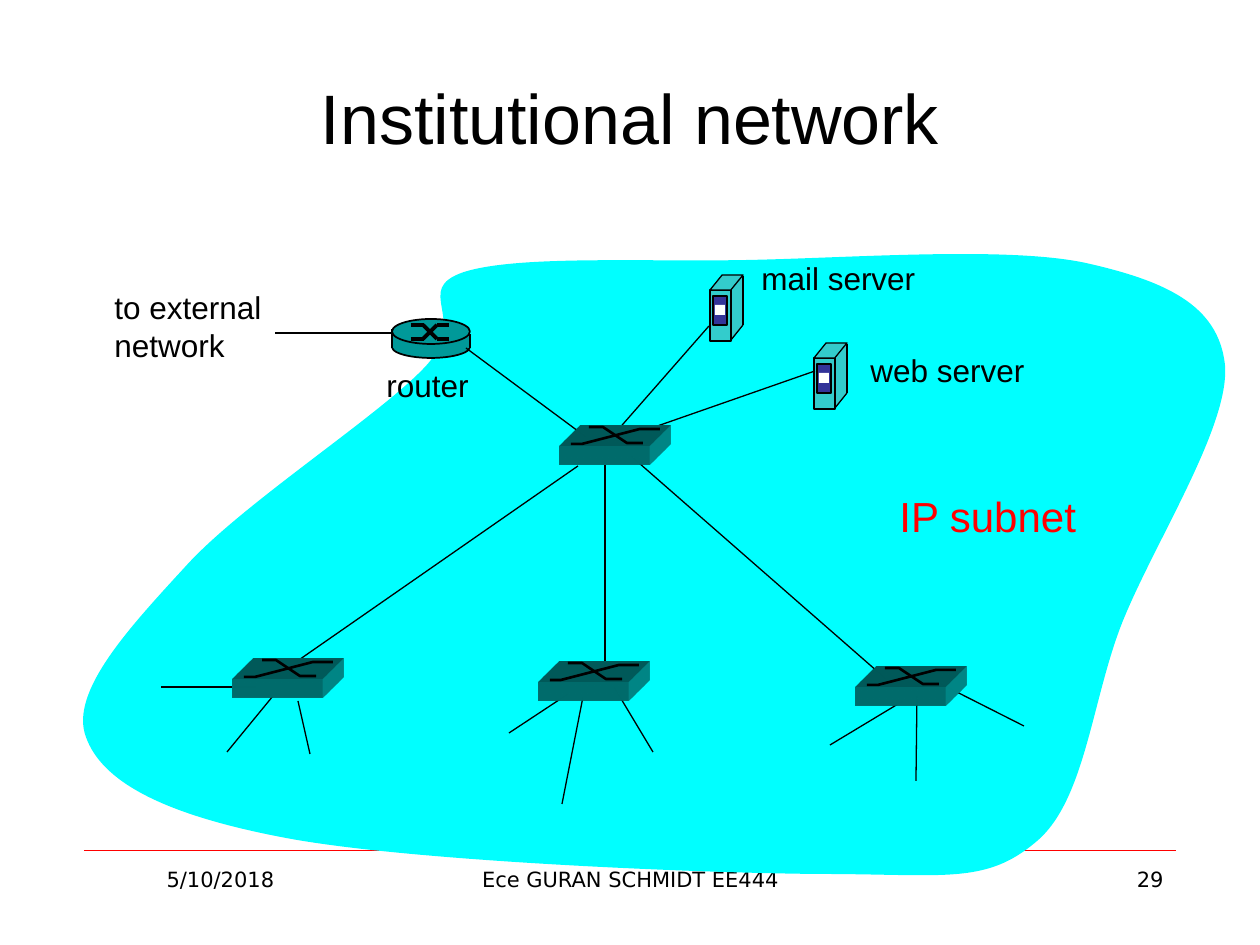
from lxml import etree
from pptx import Presentation
from pptx.dml.color import RGBColor
from pptx.enum.shapes import MSO_CONNECTOR, MSO_SHAPE
from pptx.enum.text import MSO_ANCHOR, PP_ALIGN
from pptx.oxml import parse_xml
from pptx.oxml.ns import nsdecls, qn
from pptx.util import Emu, Pt

STRAIGHT = MSO_CONNECTOR.STRAIGHT
RECTANGLE, OVAL = MSO_SHAPE.RECTANGLE, MSO_SHAPE.OVAL
PARALLELOGRAM = MSO_SHAPE.PARALLELOGRAM
LEFT, CENTER, RIGHT = PP_ALIGN.LEFT, PP_ALIGN.CENTER, PP_ALIGN.RIGHT
MIDDLE = MSO_ANCHOR.MIDDLE
EMU_PER_PX = 914400 / 126
BLACK, RED, CYAN = "000000", "FF0000", "00FFFF"
TEAL, SERVER_TEAL = "009999", "33CCCC"

TITLE = "Institutional network"
# text, box, alignment
FOOTERS = [
    ("5/10/2018", (84, 860, 273, 66), CENTER),
    ("Ece GURAN SCHMIDT EE444", (431, 860, 399, 66), CENTER),
    ("29", (903, 860, 273, 66), RIGHT),
]
# text, box, size, colour
LABELS = [
    ("to external\nnetwork", (102, 282, 174, 89), 18, BLACK),
    ("router", (374, 360, 108, 50), 18, BLACK),
    ("IP subnet", (887, 484, 204, 63), 24, RED),
    ("mail server", (749, 253, 188, 50), 18, BLACK),
    ("web server", (858, 345, 188, 50), 18, BLACK),
]

SUBNET_BOX = (70, 245, 1162, 639)
SUBNET_START = (1225, 364)
SUBNET_CURVES = [
    ((1218, 305), (1166, 281), (1086, 263)),
    ((1007, 246), (851, 258), (747, 260)),
    ((644, 262), (518, 255), (464, 272)),
    ((411, 290), (471, 318), (425, 367)),
    ((379, 416), (242, 504), (186, 566)),
    ((130, 627), (69, 692), (86, 737)),
    ((102, 782), (164, 815), (286, 838)),
    ((408, 861), (694, 873), (819, 874)),
    ((945, 874), (985, 885), (1036, 842)),
    ((1087, 800), (1092, 694), (1125, 616)),
    ((1158, 537), (1231, 423), (1225, 364)),
]

CABLES = [
    (256, 687, 161, 687), (273, 696, 227, 752), (298, 701, 310, 754),
    (568, 694, 509, 733), (583, 697, 562, 804), (614, 687, 653, 752),
    (903, 701, 830, 745), (917, 696, 916, 781), (937, 682, 1024, 726),
    (578, 466, 296, 662), (886, 679, 631, 456),
]
BACKBONE = (605, 465, 605, 668)
SERVER_CABLES = [(646, 430, 815, 371), (617, 431, 709, 326)]
ROUTER_CABLES = [(466, 348, 586, 437), (392, 333, 275, 333)]

SERVERS = [(814, 343), (710, 275)]
# shape, box, fill, outlined
SERVER_PARTS = [
    (PARALLELOGRAM, (0, 50, 33, 15), SERVER_TEAL, False),
    (RECTANGLE, (17, 0, 15, 51), SERVER_TEAL, False),
    (RECTANGLE, (0, 15, 21, 51), SERVER_TEAL, True),
    (PARALLELOGRAM, (0, 0, 33, 15), SERVER_TEAL, True),
    (RECTANGLE, (3, 21, 14, 29), "333399", True),
    (RECTANGLE, (5, 30, 10, 10), "FFFFFF", False),
]
SERVER_EDGES = [(33, 1, 33, 50), (33, 50, 21, 65)]

ROUTER = (392, 319)
ROUTER_PARTS = [
    (OVAL, (0, 17, 78, 22), TEAL, True),
    (RECTANGLE, (0, 15, 77, 14), TEAL, False),
    (OVAL, (0, 0, 78, 25), TEAL, True),
]
ROUTER_EDGES = [(0, 15, 0, 29), (78, 15, 78, 29), (0, 10, 0, 24)]
ROUTER_MARKS = [
    (19, 6, 32, 6), (45, 20, 57, 20), (31, 6, 45, 20),
    (19, 20, 32, 20), (45, 6, 57, 6), (31, 20, 45, 6),
]

# Places are the top left corners of the front faces
SWITCHES = [(560, 446), (233, 679), (539, 682), (856, 687)]
SWITCH_FRONT = (0, 0, 90, 19)
SWITCH_MARKS = [
    [(11, -2), (22, -2), (80, -17), (100, -17)],
    [(29, -19), (43, -19), (67, -3), (83, -3)],
]
EXTRUSION = [
    """<a:scene3d {}><a:camera prst="legacyObliqueTopRight"/>
    <a:lightRig rig="legacyFlat3" dir="b"/></a:scene3d>""",
    """<a:sp3d {} extrusionH="430200" prstMaterial="legacyMatte">
    <a:bevelT w="13500" h="13500" prst="angle"/><a:bevelB w="13500" h="13500" prst="angle"/>
    <a:extrusionClr><a:srgbClr val="009999"/></a:extrusionClr></a:sp3d>""",
]


def px(length):
    return Emu(round(length * EMU_PER_PX))


def color(value):
    return RGBColor.from_string(value)


def shifted(values, origin):
    """Move a box or a point by the origin of its device."""
    return [value + origin[index] if index < 2 else value for index, value in enumerate(values)]


def paint(shape, fill=None, line_width=None):
    shape.shadow.inherit = False
    if fill:
        shape.fill.solid()
        shape.fill.fore_color.rgb = color(fill)
    else:
        shape.fill.background()
    if line_width:
        shape.line.color.rgb = color(BLACK)
        shape.line.width = Pt(line_width)
    else:
        shape.line.fill.background()


def add_line(shapes, ends, width=0.75, line_color=BLACK, origin=(0, 0)):
    ends = shifted(ends[:2], origin) + shifted(ends[2:], origin)
    line = shapes.add_connector(STRAIGHT, *map(px, ends))
    line.line.color.rgb = color(line_color)
    line.line.width = Pt(width)
    etree.SubElement(line._element.spPr, qn("a:effectLst"))
    return line


def add_outline(shapes, points, closed=False):
    points = [tuple(map(px, point)) for point in points]
    builder = shapes.build_freeform(*points[0], scale=1.0)
    builder.add_line_segments(points[1:], close=closed)
    return builder.convert_to_shape()


def add_subnet(shapes):
    """Span the box with a freeform, then give it the Bezier outline."""
    left, top, width, height = SUBNET_BOX
    right, bottom = left + width, top + height
    subnet = add_outline(shapes, [(left, top), (right, top), (right, bottom), (left, bottom)], True)
    paint(subnet, CYAN)
    outline = next(subnet._element.iter(qn("a:path")))
    for command in list(outline):
        outline.remove(command)
    commands = [("a:moveTo", [SUBNET_START])]
    commands += [("a:cubicBezTo", curve) for curve in SUBNET_CURVES]
    for tag, points in commands + [("a:close", [])]:
        command = etree.SubElement(outline, qn(tag))
        for x, y in points:
            etree.SubElement(command, qn("a:pt"), x=str(px(x - left)), y=str(px(y - top)))


def add_part(shapes, kind, box, fill, line_width, origin):
    shape = shapes.add_shape(kind, *map(px, shifted(box, origin)))
    if kind == PARALLELOGRAM:
        shape.adjustments[0] = 0.81
    paint(shape, fill, line_width)
    return shape


def add_device(slide, origin, parts, edges, line_width):
    shapes = slide.shapes.add_group_shape().shapes
    for kind, box, fill, outlined in parts:
        add_part(shapes, kind, box, fill, line_width if outlined else None, origin)
    for ends in edges:
        add_line(shapes, ends, line_width, origin=origin)
    return shapes


def add_switch(slide, origin):
    shapes = slide.shapes.add_group_shape().shapes
    front = add_part(shapes, RECTANGLE, SWITCH_FRONT, TEAL, None, origin)
    for xml in EXTRUSION:
        front._element.spPr.append(parse_xml(xml.format(nsdecls("a"))))
    for points in SWITCH_MARKS:
        paint(add_outline(shapes, [shifted(point, origin) for point in points]), line_width=1.5)
    return front


def write(shape, text, size, font, font_color, alignment):
    shape.text_frame.text = text
    for paragraph in shape.text_frame.paragraphs:
        paragraph.alignment = alignment
        for name, value in {"size": Pt(size), "name": font}.items():
            setattr(paragraph.font, name, value)
        paragraph.font.color.rgb = color(font_color)


def add_text(slide, box, wrap, *text_format):
    text_box = slide.shapes.add_textbox(*map(px, box))
    text_box.text_frame.word_wrap = wrap
    write(text_box, *text_format)


presentation = Presentation()
presentation.slide_width, presentation.slide_height = px(1260), px(945)
slide = presentation.slides.add_slide(presentation.slide_layouts[5])
title = slide.shapes.title
title.left, title.top, title.width, title.height = map(px, (63, 38, 1134, 158))
write(title, TITLE, 40, "Arial", BLACK, CENTER)
title.text_frame.vertical_anchor = MIDDLE

add_line(slide.shapes, (84, 850, 1176, 850), 0.25, RED)
for text, box, alignment in FOOTERS:
    add_text(slide, box, True, text, 12, "DejaVu Sans", BLACK, alignment)
add_subnet(slide.shapes)
for cable in CABLES:
    add_line(slide.shapes, cable)
backbone = add_line(slide.shapes, BACKBONE)
for place in SERVERS:
    add_device(slide, place, SERVER_PARTS, SERVER_EDGES, 0.75)
for cable in SERVER_CABLES:
    add_line(slide.shapes, cable)
router_shapes = add_device(slide, ROUTER, ROUTER_PARTS, ROUTER_EDGES, 1)
for mark in ROUTER_MARKS:
    add_line(router_shapes, mark, 2.25, origin=ROUTER)
for cable in ROUTER_CABLES:
    add_line(slide.shapes, cable)
for text, box, size, font_color in LABELS:
    add_text(slide, box, False, text, size, "Arial", font_color, LEFT)
switch_fronts = [add_switch(slide, place) for place in SWITCHES]
backbone.begin_connect(switch_fronts[0], 2)

presentation.save("out.pptx")
